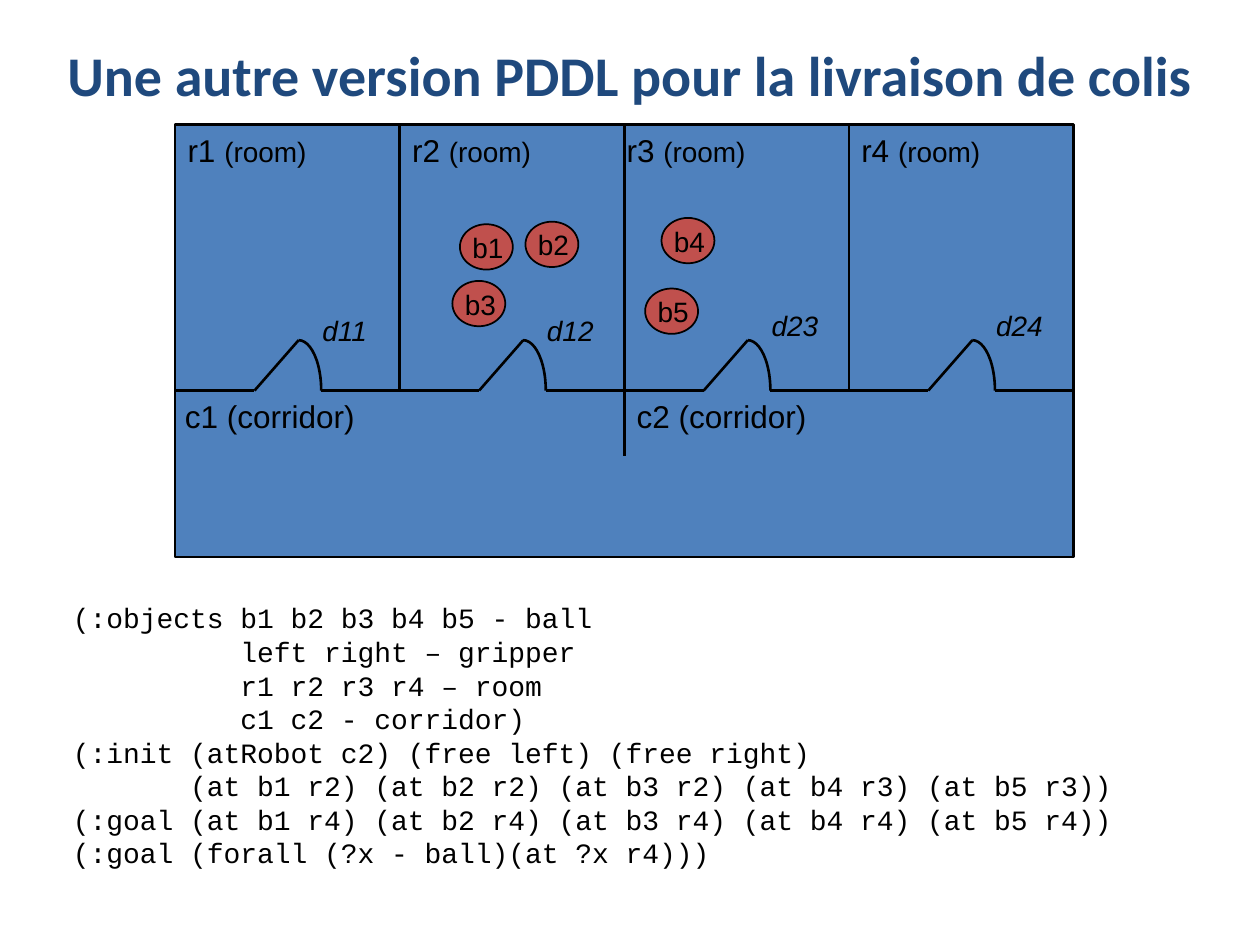
from dataclasses import dataclass

import pptx
import pptx.dml.color
import pptx.enum.shapes
import pptx.enum.text
import pptx.oxml
import pptx.oxml.ns
import pptx.util

COLORS = {"ink": "000000", "floor": "4F81BD", "ball": "C0504D", "title": "1F497D"}
SHAPES = pptx.enum.shapes.MSO_SHAPE
AUTO = pptx.enum.text.MSO_AUTO_SIZE

# Floor plan: four room columns above a corridor row
LEFT, TOP, WIDTH, HEIGHT = 1.39, 0.99, 7.13, 3.43
ROOM_W = WIDTH / 4
CORRIDOR_Y = 3.1
DIVIDER_END = 3.62
HINGE, DOOR_TOP, LATCH = 0.63, 0.98, 1.16  # offsets from a room's left wall
DOOR_H = 0.4
BALL_W, BALL_H = 0.42, 0.36


@dataclass
class Room:
    name: str
    door: str
    door_y: float
    shift: float = 0


@dataclass
class Ball:
    name: str
    x: float
    y: float


ROOMS = [
    Room("r1", "d11", 2.44),
    Room("r2", "d12", 2.44),
    Room("r3", "d23", 2.4, -0.08),
    Room("r4", "d24", 2.4),
]
BALLS = [
    Ball("b1", 3.65, 1.78),
    Ball("b2", 4.17, 1.76),
    Ball("b3", 3.59, 2.23),
    Ball("b4", 5.25, 1.73),
    Ball("b5", 5.12, 2.29),
]
CODE = """(:objects b1 b2 b3 b4 b5 - ball
          left right – gripper
          r1 r2 r3 r4 – room
          c1 c2 - corridor)
(:init (atRobot c2) (free left) (free right)
       (at b1 r2) (at b2 r2) (at b3 r2) (at b4 r3) (at b5 r3))
(:goal (at b1 r4) (at b2 r4) (at b3 r4) (at b4 r4) (at b5 r4))
(:goal (forall (?x - ball)(at ?x r4)))"""


def inches(*lengths: float) -> list:
    return [pptx.util.Inches(v) for v in lengths]


def rgb(name: str):
    return pptx.dml.color.RGBColor.from_string(COLORS[name])


def add_run(p, text: str, size: float, font: str = "Arial", color: str = "ink",
            bold: bool = False, italic: bool = False) -> None:
    r = p.add_run()
    r.text = text
    r.font.size = pptx.util.Pt(size)
    r.font.name = font
    r.font.bold = bold
    r.font.italic = italic
    r.font.color.rgb = rgb(color)


def add_label(s, x: float, y: float, w: float, h: float, *runs: tuple,
              italic: bool = False) -> None:
    """Add an unwrapped one-line label made of (text, size) runs."""
    tf = s.shapes.add_textbox(*inches(x, y, w, h)).text_frame
    tf.word_wrap = False
    tf.auto_size = AUTO.SHAPE_TO_FIT_TEXT
    for text, size in runs:
        add_run(tf.paragraphs[0], text, size, italic=italic)


def add_wall(s, x1: float, y1: float, x2: float, y2: float) -> None:
    line = s.shapes.add_connector(
        pptx.enum.shapes.MSO_CONNECTOR.STRAIGHT, *inches(x1, y1, x2, y2))
    line.line.color.rgb = rgb("ink")
    line.line.width = pptx.util.Pt(1.5)
    props = line._element.spPr
    props.append(pptx.oxml.parse_xml(
        f"<a:effectLst {pptx.oxml.ns.nsdecls('a')}/>"))


def add_outlined(s, kind, x: float, y: float, w: float, h: float,
                 fill: str = "", width: float = 1.5) -> None:
    """Add a black-outlined preset shape, unfilled when fill is empty."""
    sp = s.shapes.add_shape(kind, *inches(x, y, w, h))
    sp.shadow.inherit = False
    sp.line.color.rgb = rgb("ink")
    sp.line.width = pptx.util.Pt(width)
    if fill:
        sp.fill.solid()
        sp.fill.fore_color.rgb = rgb(fill)
    else:
        sp.fill.background()


def add_room(s, col: int, room: Room) -> None:
    x = LEFT + col * ROOM_W
    door_y = CORRIDOR_Y - DOOR_H
    swing = LATCH - DOOR_TOP
    add_wall(s, x, CORRIDOR_Y, x + HINGE, CORRIDOR_Y)
    add_wall(s, x + LATCH, CORRIDOR_Y, x + ROOM_W, CORRIDOR_Y)
    add_wall(s, x + HINGE, CORRIDOR_Y, x + DOOR_TOP, door_y)
    add_outlined(s, SHAPES.ARC, x + DOOR_TOP - swing, door_y, 2 * swing, 2 * DOOR_H)
    if col:
        add_wall(s, x, TOP, x, DIVIDER_END if col == 2 else CORRIDOR_Y)
    add_label(s, x + room.shift, TOP, 1.16, 0.39, (room.name + " ", 18), ("(room)", 16))
    add_label(s, x + 1.07, room.door_y, 0.65, 0.73, (room.door, 16), italic=True)


def add_ball(s, ball: Ball) -> None:
    add_outlined(s, SHAPES.OVAL, ball.x, ball.y, BALL_W, BALL_H, "ball", 1)
    add_label(s, ball.x, ball.y, 0.45, 0.37, (ball.name, 16))


def add_title(s, text: str) -> None:
    sp = s.shapes.title
    sp.left, sp.top, sp.width, sp.height = inches(0.25, 0.2, 9.5, 0.78)
    tf = sp.text_frame
    tf.vertical_anchor = pptx.enum.text.MSO_ANCHOR.MIDDLE
    tf.auto_size = AUTO.NONE
    p = tf.paragraphs[0]
    p.alignment = pptx.enum.text.PP_ALIGN.CENTER
    add_run(p, text, 32, "Calibri", "title", bold=True)


def add_code(s, code: str) -> None:
    tf = s.shapes.add_textbox(*inches(0.48, 4.72, 9.31, 2.52)).text_frame
    tf.word_wrap = True
    tf.auto_size = AUTO.SHAPE_TO_FIT_TEXT
    for i, line in enumerate(code.splitlines()):
        p = tf.add_paragraph() if i else tf.paragraphs[0]
        add_run(p, line, 16, "Courier New")


def main() -> None:
    prs = pptx.Presentation()
    prs.slide_width, prs.slide_height = inches(10, 7.5)
    s = prs.slides.add_slide(prs.slide_layouts[5])
    add_title(s, "Une autre version PDDL pour la livraison de colis")
    add_outlined(s, SHAPES.RECTANGLE, LEFT, TOP, WIDTH, HEIGHT, "floor")
    for col, room in enumerate(ROOMS):
        add_room(s, col, room)
    add_label(s, 1.37, CORRIDOR_Y, 1.56, 0.39, ("c1 (corridor)", 18))
    add_label(s, LEFT + 2 * ROOM_W, CORRIDOR_Y, 1.75, 0.8, ("c2 (corridor)", 18))
    for ball in BALLS:
        add_ball(s, ball)
    add_code(s, CODE)
    prs.save("out.pptx")


if __name__ == "__main__":
    main()
